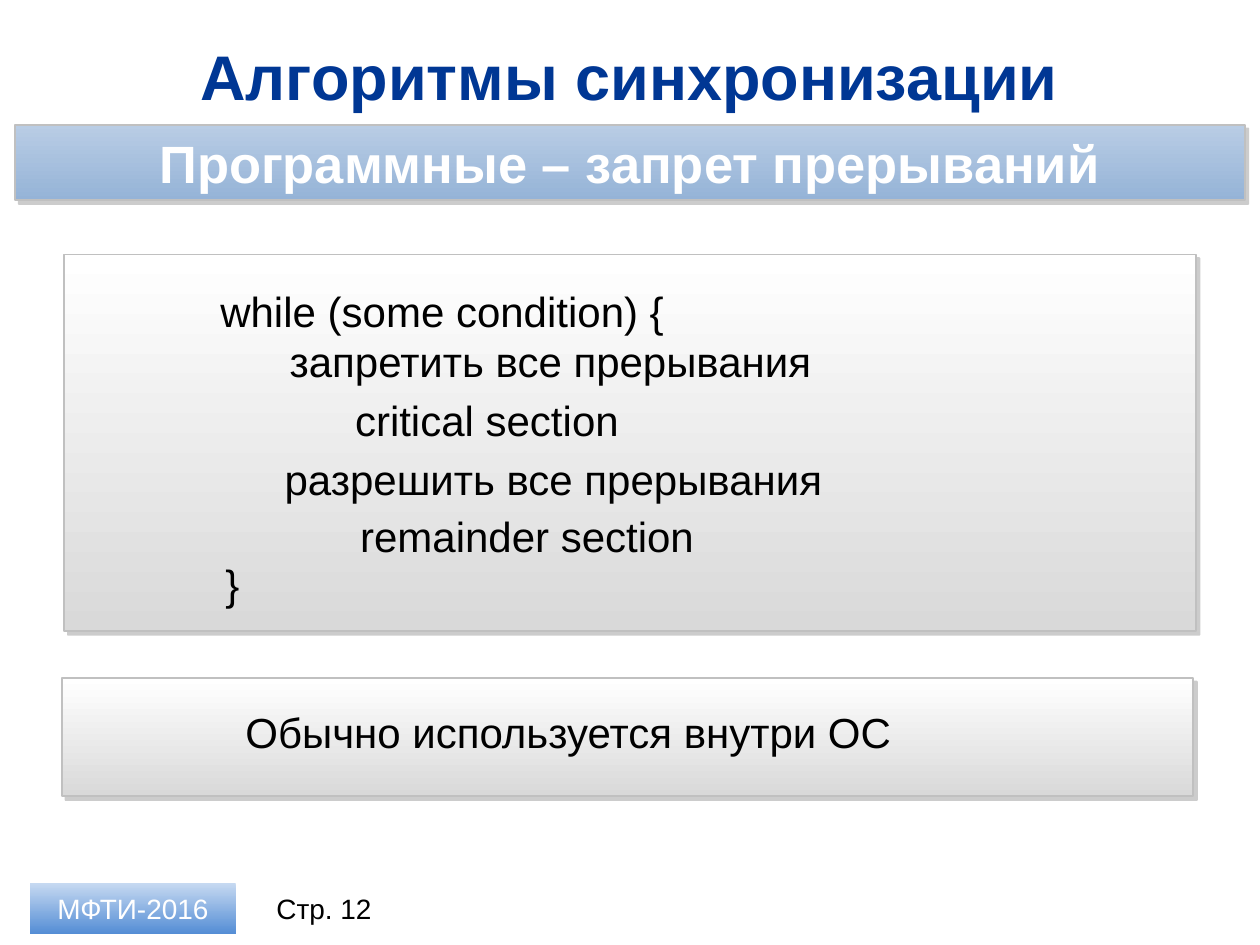
from lxml import etree
from pptx import Presentation
from pptx.dml.color import RGBColor
from pptx.enum.shapes import MSO_SHAPE
from pptx.enum.text import MSO_ANCHOR, MSO_AUTO_SIZE, PP_ALIGN
from pptx.oxml.ns import qn
from pptx.util import Pt

RECT = MSO_SHAPE.RECTANGLE
TOP, MIDDLE = MSO_ANCHOR.TOP, MSO_ANCHOR.MIDDLE
LEFT, CENTER = PP_ALIGN.LEFT, PP_ALIGN.CENTER
NO_AUTOFIT = MSO_AUTO_SIZE.NONE

FONT = "Arial"
WHITE, BLACK, NAVY, GRAY = "FFFFFF", "000000", "003794", "C0C0C0"
PANEL_FILL = (WHITE, "D9D9D9")
BANNER_FILL = ("B9CDE5", "95B3D7")
FOOTER_FILL = ("C6D9F1", "558ED5")

BODY = {"name": FONT, "size": Pt(24), "bold": False}
TITLE = {"name": FONT, "size": Pt(36), "bold": True}
BANNER = {"name": FONT, "size": Pt(30), "bold": True}
FOOTER = {"name": FONT, "size": Pt(16), "bold": False}

PANELS = [(35.3, 387.4, 646.6, 67.7), (36.7, 145.4, 646.6, 215.3)]
LINES = [
    ("while (some condition) {", 118.8, 159.8, 289.4),
    ("запретить все прерывания", 158.4, 187.9, 396.7),
    ("critical section", 195.8, 221.8, 289.4),
    ("разрешить все прерывания", 155.5, 255.6, 430.6),
    ("remainder section", 198.7, 288, 289.4),
    ("}", 121.7, 315.4, 289.4),
    ("Обычно используется внутри ОС", 133.2, 400.3, 450.7),
]


def rgb(value):
    return RGBColor.from_string(value)


def set_text(sp, text, font, color, align=LEFT, anchor=TOP):
    tf = sp.text_frame
    tf.word_wrap = True
    tf.auto_size = NO_AUTOFIT
    tf.vertical_anchor = anchor
    p = tf.paragraphs[0]
    p.alignment = align
    r = p.add_run()
    r.text = text
    for name, value in font.items():
        setattr(r.font, name, value)
    r.font.color.rgb = rgb(color)


def add_text(s, text, box, font, color, align=LEFT, anchor=TOP):
    sp = s.shapes.add_textbox(*map(Pt, box))
    set_text(sp, text, font, color, align, anchor)


def add_gradient_box(s, box, colors):
    sp = s.shapes.add_shape(RECT, *map(Pt, box))
    sp.shadow.inherit = False
    sp.fill.gradient()
    sp.fill.gradient_angle = 270
    for stop, color in zip(sp.fill.gradient_stops, colors):
        stop.color.rgb = rgb(color)
    sp.line.fill.background()
    return sp


def add_raised_box(s, box, colors):
    sp = add_gradient_box(s, box, colors)
    sp.line.color.rgb = rgb(GRAY)
    sp.line.width = Pt(1)
    effects = sp._element.spPr.find(qn("a:effectLst"))
    shadow = etree.SubElement(
        effects, qn("a:outerShdw"), blurRad="0", dist=str(Pt(3)),
        dir="2700000", algn="ctr", rotWithShape="0")
    color = etree.SubElement(shadow, qn("a:srgbClr"), val="808080")
    etree.SubElement(color, qn("a:alpha"), val="40000")
    return sp


def add_title(s, text, box):
    sp = s.shapes.title
    sp.left, sp.top, sp.width, sp.height = map(Pt, box)
    set_text(sp, text, TITLE, NAVY, CENTER, MIDDLE)


def add_banner(s, text, box):
    sp = add_raised_box(s, box, BANNER_FILL)
    set_text(sp, text, BANNER, WHITE, CENTER, MIDDLE)
    tf = sp.text_frame
    tf.margin_left = tf.margin_right = Pt(17.3)
    tf.margin_top = tf.margin_bottom = Pt(2.9)


def add_footer(s):
    sp = add_gradient_box(s, (17.3, 504.7, 117.4, 28.8), FOOTER_FILL)
    set_text(sp, "МФТИ-2016", FOOTER, WHITE, CENTER, MIDDLE)
    add_text(s, "Стр. 12", (146.2, 504.7, 77.8, 28.8), FOOTER, BLACK, CENTER, MIDDLE)


def main():
    prs = Presentation()
    prs.slide_width, prs.slide_height = Pt(720), Pt(540)
    s = prs.slides.add_slide(prs.slide_layouts[5])
    add_title(s, "Алгоритмы синхронизации", (25.2, 18.7, 668.9, 49))
    add_banner(s, "Программные – запрет прерываний", (8.6, 71.3, 702.7, 43.2))
    for box in PANELS:
        add_raised_box(s, box, PANEL_FILL)
    for text, left, top, width in LINES:
        add_text(s, text, (left, top, width, 36), BODY, BLACK)
    add_footer(s)
    prs.save("out.pptx")


if __name__ == "__main__":
    main()
